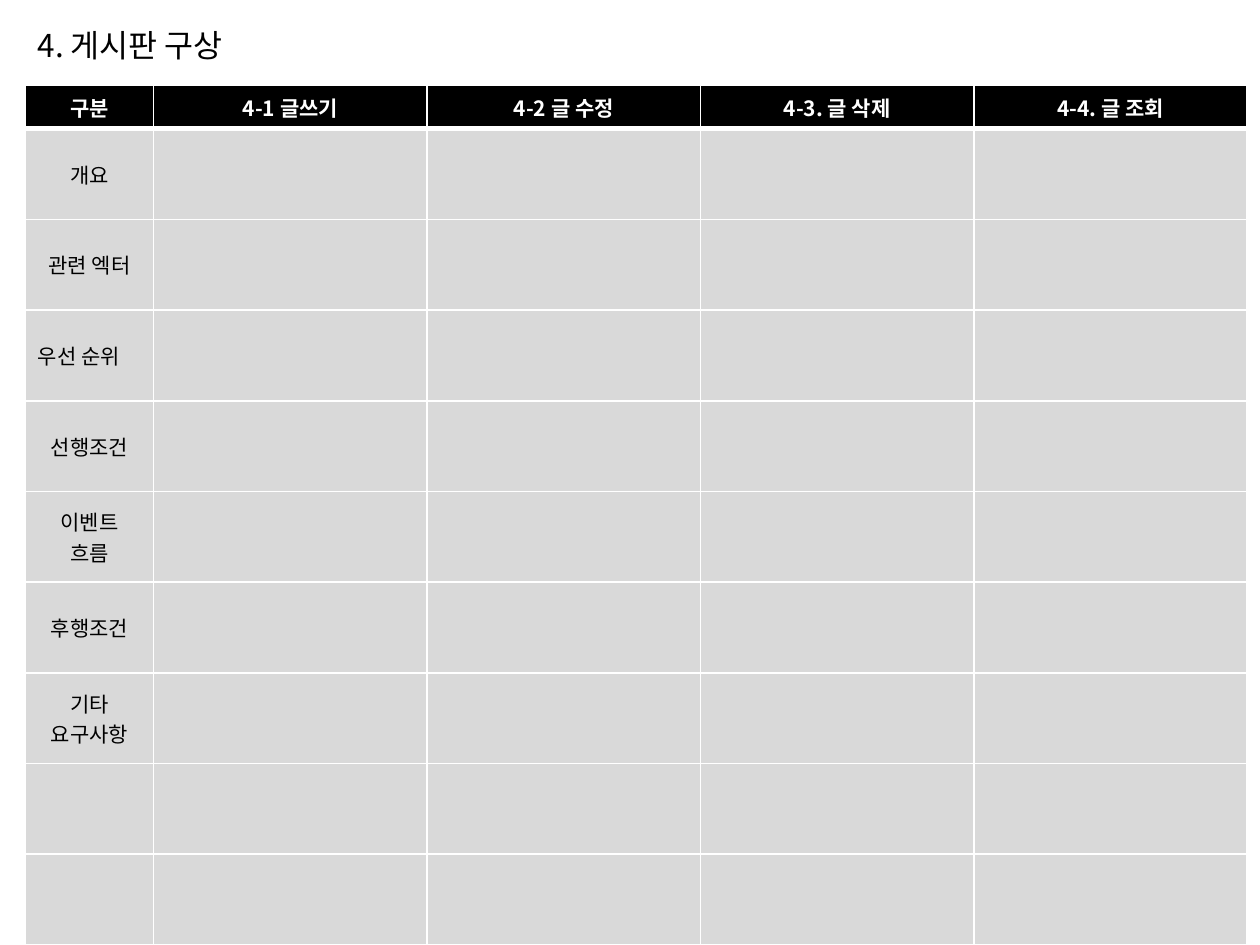
from lxml import etree
from pptx import Presentation
from pptx.dml.color import RGBColor
from pptx.enum.text import MSO_ANCHOR, MSO_AUTO_SIZE, PP_ALIGN
from pptx.oxml.ns import qn
from pptx.util import Inches, Pt

LEFT, CENTER = PP_ALIGN.LEFT, PP_ALIGN.CENTER
MIDDLE = MSO_ANCHOR.MIDDLE
FIT_SHAPE = MSO_AUTO_SIZE.SHAPE_TO_FIT_TEXT

# Content
FONT = "Noto Sans CJK KR"
COLORS = {"text": "000000", "header": "000000", "header_text": "FFFFFF",
          "body": "D9D9D9", "border": "FFFFFF"}
TITLE = "4. 게시판 구상"
HEADERS = ["구분", "4-1 글쓰기", "4-2 글 수정", "4-3. 글 삭제", "4-4. 글 조회"]
ROW_LABELS = ["개요", "관련 엑터", "우선 순위", "선행조건", "이벤트\n흐름",
              "후행조건", "기타 요구사항", "", ""]
LEFT_ALIGNED = {"우선 순위"}

# Layout in inches
TABLE_LEFT, TABLE_TOP = 0.2, 0.68
COLUMN_WIDTHS = [1.02] + [2.17] * 4
ROW_HEIGHTS = [0.24] + [0.72] * len(ROW_LABELS)


def write_text(frame, text, size=12, color="text", bold=False, align=LEFT):
    frame.text = text
    for paragraph in frame.paragraphs:
        paragraph.alignment = align
        for run in paragraph.runs:
            run.font.size = Pt(size)
            run.font.bold = bold
            run.font.name = FONT
            run.font.color.rgb = RGBColor.from_string(COLORS[color])
            east_asian = etree.SubElement(run.font._element, qn("a:ea"))
            east_asian.set("typeface", FONT)


def style_cell(cell, fill, bottom=1):
    cell.vertical_anchor = MIDDLE
    properties = cell._tc.get_or_add_tcPr()
    for side, width in (("L", 1), ("R", 1), ("T", 1), ("B", bottom)):
        line = etree.SubElement(properties, qn(f"a:ln{side}"), w=str(Pt(width)))
        solid = etree.SubElement(line, qn("a:solidFill"))
        etree.SubElement(solid, qn("a:srgbClr"), val=COLORS["border"])
    cell.fill.solid()
    cell.fill.fore_color.rgb = RGBColor.from_string(COLORS[fill])
    # The schema wants the fill after the borders
    properties.append(properties.find(qn("a:solidFill")))


prs = Presentation()
prs.slide_width, prs.slide_height = Inches(10), Inches(7.5)
slide = prs.slides.add_slide(prs.slide_layouts[6])

# Table
rows = [HEADERS] + [[label] + [""] * (len(HEADERS) - 1) for label in ROW_LABELS]
table = slide.shapes.add_table(
    len(rows), len(HEADERS), Inches(TABLE_LEFT), Inches(TABLE_TOP),
    Inches(sum(COLUMN_WIDTHS)), Inches(sum(ROW_HEIGHTS))).table
table.horz_banding = False
for column, width in zip(table.columns, COLUMN_WIDTHS):
    column.width = Inches(width)
for row, height in zip(table.rows, ROW_HEIGHTS):
    row.height = Inches(height)

for r, labels in enumerate(rows):
    is_header = r == 0
    for c, label in enumerate(labels):
        cell = table.cell(r, c)
        style_cell(cell, "header" if is_header else "body",
                   bottom=3 if is_header else 1)
        if label:
            write_text(cell.text_frame, label, bold=is_header,
                       color="header_text" if is_header else "text",
                       align=LEFT if label in LEFT_ALIGNED else CENTER)
    if is_header:
        continue
    # Thick rule under the header is shared with the first body row
    if r == 1:
        for c in range(len(labels)):
            top = table.cell(r, c)._tc.tcPr.find(qn("a:lnT"))
            top.set("w", str(Pt(3)))

# Title
title = slide.shapes.add_textbox(Inches(0.2), Inches(0.16), Inches(1.84), Inches(0.4))
title.text_frame.word_wrap = False
title.text_frame.auto_size = FIT_SHAPE
write_text(title.text_frame, TITLE, size=18)

prs.save("out.pptx")
